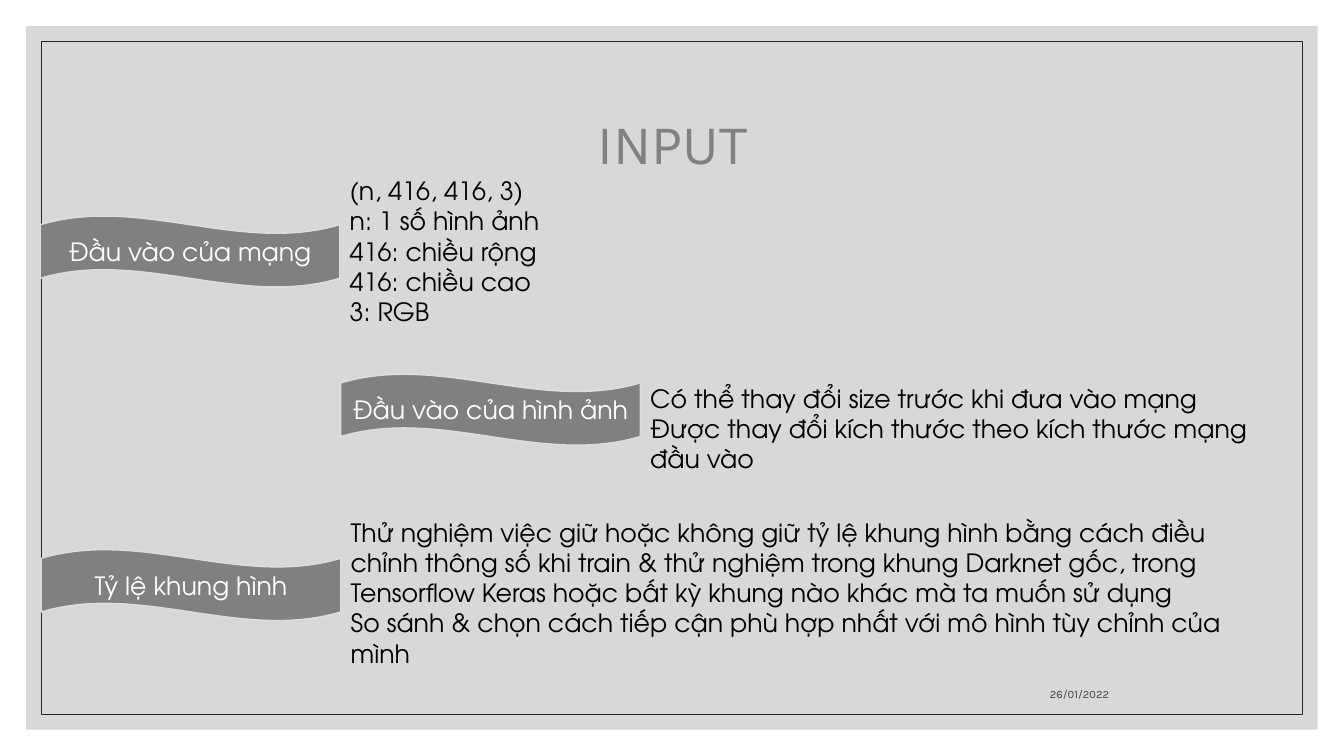
from pptx import Presentation
from pptx import util as u
from pptx.dml.color import RGBColor
from pptx.enum import shapes, text
from pptx.oxml.ns import qn
from lxml import etree

WIDTH, HEIGHT = 13.33, 7.5
BODY_FONT, HEADING_FONT = "TeX Gyre Adventor", "Karla"
RIBBON_SIZE = (2.97, 0.71)
TOPICS = [
    ((0.4, 2.14), "Đầu vào của mạng", (3.37, 1.69, 6.67, 1.62),
     ["(n, 416, 416, 3)", "n: 1 số hình ảnh", "416: chiều rộng",
      "416: chiều cao", "3: RGB"]),
    ((3.38, 3.71), "Đầu vào của hình ảnh", (6.35, 3.75, 6.57, 0.71),
     ["Có thể thay đổi size trước khi đưa vào mạng",
      "Được thay đổi kích thước theo kích thước mạng đầu vào"]),
    ((0.41, 5.45), "Tỷ lệ khung hình", (3.38, 5.08, 9.38, 1.62),
     ["Thử nghiệm việc giữ hoặc không giữ tỷ lệ khung hình bằng cách điều "
      "chỉnh thông số khi train & thử nghiệm trong khung Darknet gốc, trong "
      "Tensorflow Keras hoặc bất kỳ khung nào khác mà ta muốn sử dụng",
      "So sánh & chọn cách tiếp cận phù hợp nhất với mô hình tùy chỉnh của mình"]),
]


def color(value):
    """Turn a hex string into a colour."""
    return RGBColor.from_string(value)


def inches(box):
    """Turn a box in inches into lengths."""
    return [u.Inches(length) for length in box]


def write(frame, lines, size, font, ink, align, anchor, spacing=1.0):
    """Fill a text frame with one paragraph per line."""
    frame.word_wrap = True
    frame.vertical_anchor = anchor
    frame.text = "\n".join(lines)
    for paragraph in frame.paragraphs:
        for name, value in {"alignment": align, "line_spacing": spacing}.items():
            setattr(paragraph, name, value)
        for name, value in {"size": u.Pt(size), "name": font}.items():
            setattr(paragraph.runs[0].font, name, value)
        paragraph.runs[0].font.color.rgb = color(ink)


def add_panel(slide, kind, box, fill=None, line=None, weight=1.0):
    """Draw a shape with a plain fill and outline."""
    panel = slide.shapes.add_shape(kind, *inches(box))
    panel.shadow.inherit = False
    if fill:
        panel.fill.solid()
        panel.fill.fore_color.rgb = color(fill)
    else:
        panel.fill.background()
    if line:
        panel.line.color.rgb = color(line)
        panel.line.width = u.Pt(weight)
    else:
        panel.line.fill.background()
    return panel


def add_backdrop(slide, margin, inset):
    """Draw the translucent panel and the thin frame inside it."""
    rectangle = shapes.MSO_SHAPE.RECTANGLE
    veil = add_panel(slide, rectangle,
                     (margin, margin, WIDTH - 2 * margin, HEIGHT - 2 * margin), "BFBFBF")
    tint = veil.fill._xPr.find(qn("a:solidFill"))[0]
    etree.SubElement(tint, qn("a:alpha"), val="60000")
    add_panel(slide, rectangle,
              (inset, inset, WIDTH - 2 * inset, HEIGHT - 2 * inset), None, "262626", 0.5)


def add_title(slide, box, title):
    """Place the heading in the title placeholder."""
    heading = slide.shapes.title
    for name, value in zip(("left", "top", "width", "height"), inches(box)):
        setattr(heading, name, value)
    write(heading.text_frame, [title], 40, HEADING_FONT, "262626",
          text.PP_ALIGN.CENTER, text.MSO_ANCHOR.MIDDLE, 0.9)


def add_date(slide, box, date):
    """Place the date at the foot of the slide."""
    stamp = slide.shapes.add_textbox(*inches(box))
    write(stamp.text_frame, [date], 8, HEADING_FONT, "404040",
          text.PP_ALIGN.RIGHT, text.MSO_ANCHOR.BOTTOM)


def add_topic(slide, corner, label, box, details):
    """Draw a wave ribbon with its details beside it."""
    ribbon = add_panel(slide, shapes.MSO_SHAPE.WAVE, corner + RIBBON_SIZE, "808080", "DCE0D9")
    write(ribbon.text_frame, [label], 18, BODY_FONT, "FFFFFF",
          text.PP_ALIGN.CENTER, text.MSO_ANCHOR.MIDDLE)
    notes = slide.shapes.add_textbox(*inches(box))
    write(notes.text_frame, details, 18, BODY_FONT, "000000",
          text.PP_ALIGN.LEFT, text.MSO_ANCHOR.TOP)


def main():
    """Build the slide and save it."""
    deck = Presentation()
    deck.slide_width, deck.slide_height = inches((WIDTH, HEIGHT))
    slide = deck.slides.add_slide(deck.slide_layouts[5])
    add_backdrop(slide, 0.26, 0.41)
    add_title(slide, (1.17, 0.7, 11, 1.5), "INPUT")
    add_date(slide, (7.94, 6.6, 3.16, 0.4), "26/01/2022")
    for topic in TOPICS:
        add_topic(slide, *topic)
    deck.save("out.pptx")


if __name__ == "__main__":
    main()
